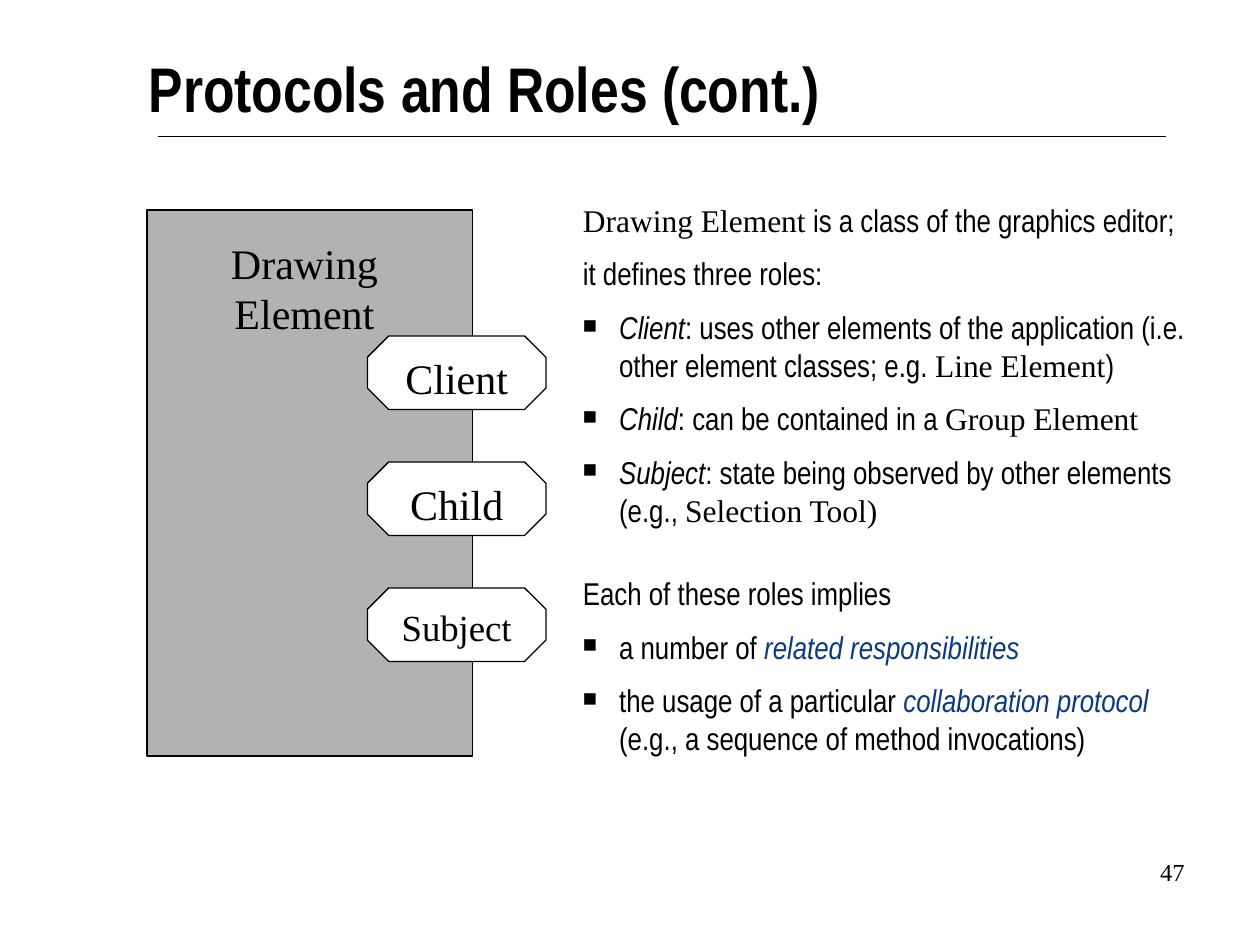
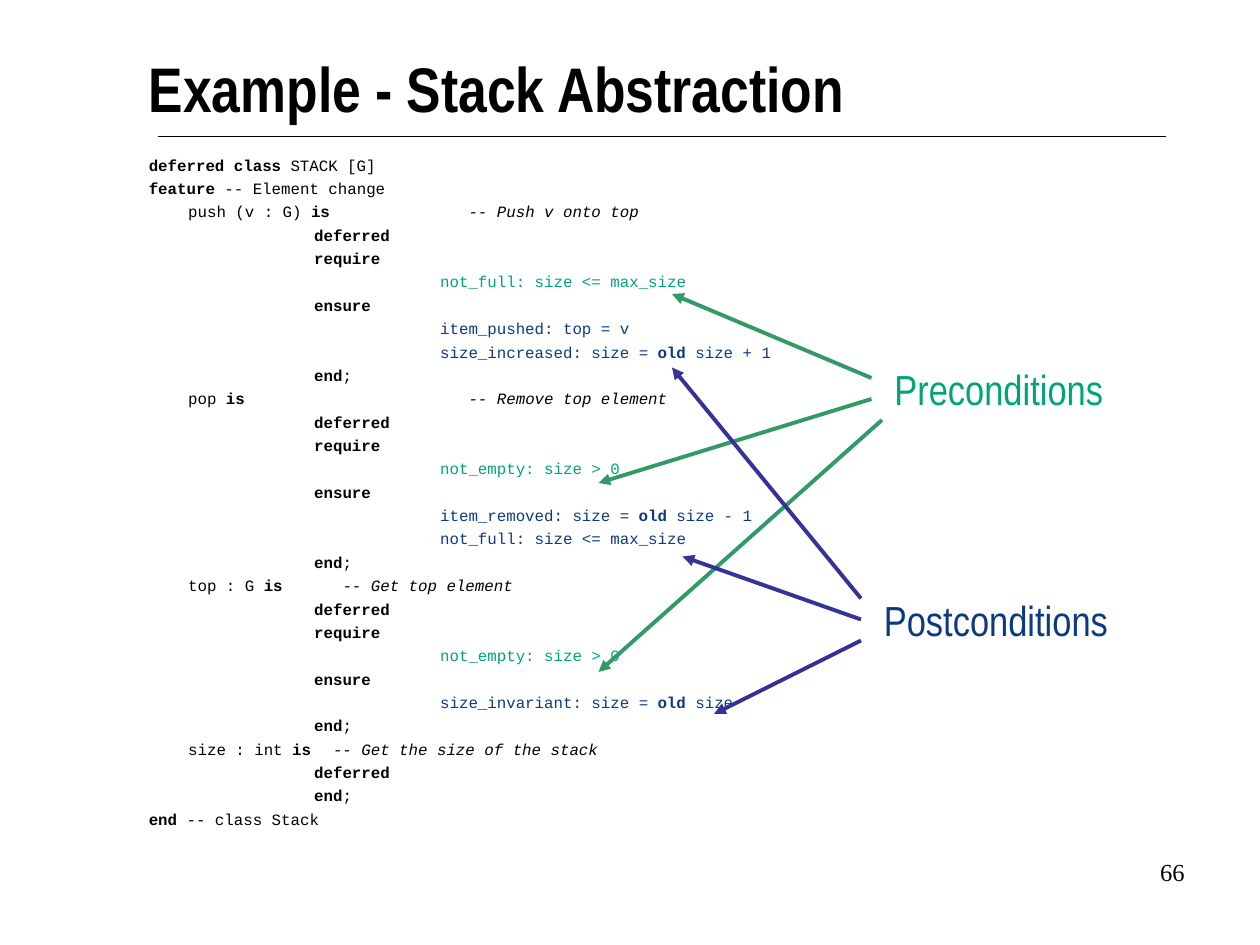
from lxml import etree
from pptx import Presentation
from pptx.dml.color import RGBColor
from pptx.enum.shapes import MSO_CONNECTOR, MSO_SHAPE
from pptx.enum.text import PP_ALIGN
from pptx.oxml.ns import qn
from pptx.util import Pt

LINE = MSO_CONNECTOR.STRAIGHT
RECT, OCTAGON = MSO_SHAPE.RECTANGLE, MSO_SHAPE.OCTAGON
LEFT, MID, RIGHT = PP_ALIGN.LEFT, PP_ALIGN.CENTER, PP_ALIGN.RIGHT
NARROW, SERIF, MONO = "Arial Narrow", "Times New Roman", "Courier New"

HUES = {"ink": "000000", "gray": "B2B2B2", "white": "FFFFFF", "green": "00A479",
        "blue": "0C3A80", "leaf": "339966", "navy": "333399"}

LOOKS = {
    "title": ("ink", {"name": NARROW, "bold": True}),
    "text": ("ink", {"name": NARROW}),
    "term": ("ink", {"name": NARROW, "italic": True}),
    "key": ("blue", {"name": NARROW, "italic": True}),
    "serif": ("ink", {"name": SERIF}),
    "pre": ("green", {"name": NARROW}),
    "post": ("blue", {"name": NARROW}),
    "c": ("ink", {"name": MONO}),
    "b": ("ink", {"name": MONO, "bold": True}),
    "i": ("ink", {"name": MONO, "italic": True}),
    "g": ("green", {"name": MONO}),
    "u": ("blue", {"name": MONO}),
    "ub": ("blue", {"name": MONO, "bold": True}),
}


def write(par, text, size):
    for part in text.split("|"):
        key, _, words = part.partition(":")
        run = par.add_run()
        run.text = words
        hue, look = LOOKS[key]
        for name, value in {**look, "size": Pt(size)}.items():
            setattr(run.font, name, value)
        run.font.color.rgb = RGBColor.from_string(HUES[hue])


def box(page, spot, text, size, align=LEFT, pad=(7.2, 3.6), wrap=True, fill=None):
    shape = page.shapes.add_textbox(*map(Pt, spot))
    if fill:
        shape.fill.solid()
        shape.fill.fore_color.rgb = RGBColor.from_string(HUES[fill])
    frame = shape.text_frame
    frame.word_wrap = wrap
    frame.margin_left = frame.margin_right = Pt(pad[0])
    frame.margin_top = frame.margin_bottom = Pt(pad[1])
    if text:
        frame.paragraphs[0].alignment = align
        write(frame.paragraphs[0], text, size)
    return frame


deck = Presentation()
deck.slide_width, deck.slide_height = Pt(720), Pt(540)

pages = []
for title, number in (("Protocols and Roles (cont.)", 47),
                      ("Example - Stack Abstraction", 66)):
    page = deck.slides.add_slide(deck.slide_layouts[6])
    rule = page.shapes.add_connector(LINE, Pt(90), Pt(78), Pt(666), Pt(78))
    rule.line.width = Pt(0.75)
    rule.line.color.rgb = RGBColor.from_string(HUES["ink"])
    etree.SubElement(rule._element.spPr, qn("a:effectLst"))
    box(page, (85, 28, 551, 54), f"title:{title}", 36, pad=(0, 0))
    box(page, (534, 486, 150, 36), f"serif:{number}", 14, RIGHT)
    pages.append(page)
roles, stack = pages

points = [
    (False, 0, "serif:Drawing Element|text: is a class of the graphics editor;"),
    (False, 9, "text:it defines three roles:"),
    (True, 9, "term:Client|text:: uses other elements of the application (i.e. other "
              "element classes; e.g. |serif:Line Element|text:)"),
    (True, 9, "term:Child|text:: can be contained in a |serif:Group Element"),
    (True, 9, "term:Subject|text:: state being observed by other elements (e.g., "
              "|serif:Selection Tool)"),
    (False, 26, "text:Each of these roles implies"),
    (True, 9, "text:a number of |key:related responsibilities"),
    (True, 9, "text:the usage of a particular |key:collaboration protocol|text: (e.g., "
              "a sequence of method invocations)"),
]
frame = box(roles, (326, 111.2, 364, 339), "", 18)
for row, (mark, gap, text) in enumerate(points):
    par = frame.add_paragraph() if row else frame.paragraphs[0]
    par.space_before = Pt(gap)
    props = par._p.get_or_add_pPr()
    props.set("marL", str(Pt(20.7)))
    props.set("indent", str(-Pt(20.7)))
    if mark:
        etree.SubElement(props, qn("a:buSzPct")).set("val", "75000")
        etree.SubElement(props, qn("a:buFont")).set("typeface", NARROW)
        etree.SubElement(props, qn("a:buChar")).set("char", "■")
    write(par, text, 18)

parts = [(RECT, (84, 120, 186, 312), "gray", 1)]
parts += [(OCTAGON, (210, 192 + 72 * n, 102, 42), "white", 0.75) for n in range(3)]
for kind, spot, hue, width in parts:
    shape = roles.shapes.add_shape(kind, *map(Pt, spot))
    shape.shadow.inherit = False
    shape.fill.solid()
    shape.fill.fore_color.rgb = RGBColor.from_string(HUES[hue])
    shape.line.color.rgb = RGBColor.from_string(HUES["ink"])
    shape.line.width = Pt(width)
    if kind == OCTAGON:
        shape.adjustments[0] = 0.29

box(roles, (102, 132, 144, 59), "serif:Drawing Element", 24, MID, fill="gray")
for n, (name, size) in enumerate((("Client", 24), ("Child", 24), ("Subject", 21))):
    box(roles, (222, 198 + 72 * n, 78, 36), f"serif:{name}", size, MID)

code = [
    (0, "b:deferred class|c: STACK [G]"),
    (0, "b:feature|c: -- Element change"),
    (1, "c:push (v : G) |b:is \t   |i:-- Push v onto top"),
    (2, "b:deferred"),
    (2, "b:require"),
    (3, "g:not_full: size <= max_size"),
    (2, "b:ensure"),
    (3, "u:item_pushed: top = v"),
    (3, "u:size_increased: size = |ub:old|u: size + 1"),
    (2, "b:end|c:;"),
    (1, "c:pop |b:is\t\t   |i:-- Remove top element"),
    (2, "b:deferred"),
    (2, "b:require"),
    (3, "g:not_empty: size > 0"),
    (2, "b:ensure"),
    (3, "u:item_removed: size = |ub:old|u: size - 1"),
    (3, "u:not_full: size <= max_size"),
    (2, "b:end|c:;"),
    (1, "c:top : G |b:is\t   |i:-- Get top element"),
    (2, "b:deferred"),
    (2, "b:require"),
    (3, "g:not_empty: size > 0"),
    (2, "b:ensure"),
    (3, "u:size_invariant: size = |ub:old|u: size"),
    (2, "b:end|c:;"),
    (1, "c:size : int |b:is\t  |i:-- Get the size of the stack"),
    (2, "b:deferred"),
    (2, "b:end|c:;"),
    (0, "b:end|c: -- class Stack"),
]
frame = box(stack, (85, 90, 594, 420), "", 9, pad=(0, 0))
for row, (depth, text) in enumerate(code):
    par = frame.add_paragraph() if row else frame.paragraphs[0]
    par.line_spacing = 0.9
    par.space_before = Pt(3.6 if row else 0)
    props = par._p.get_or_add_pPr()
    for name, size in (("marL", 22.5), ("indent", -22.5), ("defTabSz", 72)):
        props.set(name, str(Pt(size)))
    key, _, rest = text.partition(":")
    write(par, f"{key}:" + "\t" * depth + rest, 9)

groups = [
    ("pre:Preconditions", (504, 204, 134, 36), "leaf",
     [(498, 216, 384, 168), (498, 228, 342, 276), (504, 240, 342, 384)]),
    ("post:Postconditions", (498, 336, 143, 36), "navy",
     [(492, 354, 390, 318), (492, 342, 384, 210), (492, 366, 408, 408)]),
]
for label, spot, hue, arrows in groups:
    box(stack, spot, label, 24, wrap=False)
    for ends in arrows:
        arrow = stack.shapes.add_connector(LINE, *map(Pt, ends))
        arrow.line.width = Pt(2.25)
        arrow.line.color.rgb = RGBColor.from_string(HUES[hue])
        etree.SubElement(arrow.line._get_or_add_ln(), qn("a:tailEnd")).set("type", "triangle")
        etree.SubElement(arrow._element.spPr, qn("a:effectLst"))

deck.save("out.pptx")
